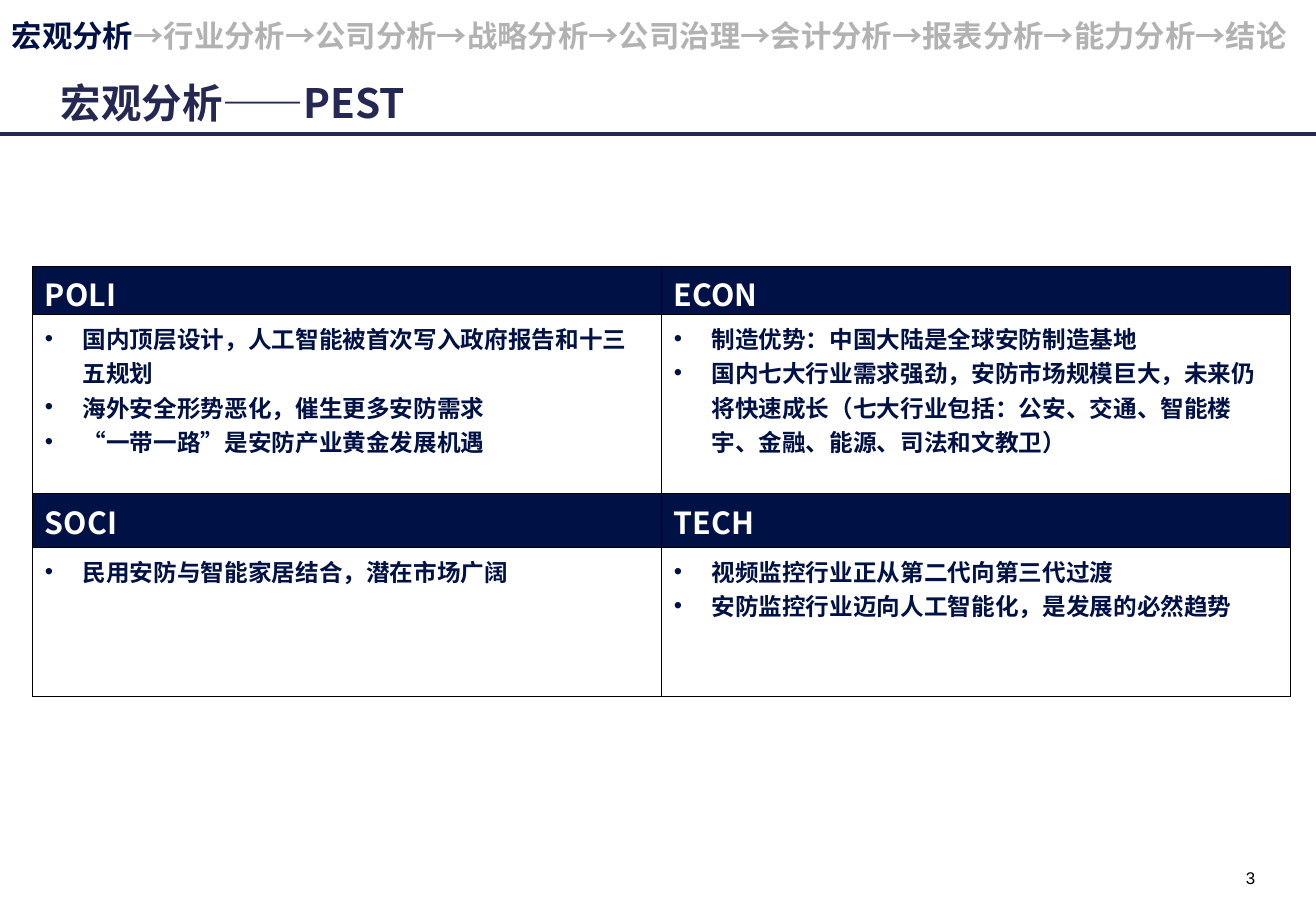
from lxml.etree import SubElement
from pptx import Presentation
from pptx.dml.color import RGBColor
from pptx.enum.shapes import MSO_CONNECTOR
from pptx.enum.text import MSO_ANCHOR, MSO_AUTO_SIZE, PP_ALIGN
from pptx.oxml.ns import qn
from pptx.util import Emu, Pt

# Content
STEPS = ["宏观分析", "行业分析", "公司分析", "战略分析", "公司治理",
         "会计分析", "报表分析", "能力分析", "结论"]
CURRENT_STEP = 0
TITLE = "宏观分析——PEST"
PAGE_NUMBER = "3"
PEST = [
    [("POLI", ["国内顶层设计，人工智能被首次写入政府报告和十三五规划",
               "海外安全形势恶化，催生更多安防需求",
               "“一带一路”是安防产业黄金发展机遇"]),
     ("ECON", ["制造优势：中国大陆是全球安防制造基地",
               "国内七大行业需求强劲，安防市场规模巨大，未来仍将快速成长"
               "（七大行业包括：公安、交通、智能楼宇、金融、能源、司法和文教卫）"])],
    [("SOCI", ["民用安防与智能家居结合，潜在市场广阔"]),
     ("TECH", ["视频监控行业正从第二代向第三代过渡",
               "安防监控行业迈向人工智能化，是发展的必然趋势"])],
]

# Theme
CJK, LATIN = "Noto Sans CJK SC", "Arial"
NAVY, GREY, BLACK = "001145", "B2B2B2", "000000"
THEME = {
    "title": dict(name=CJK, size=24, bold=True, color="242852"),
    "current": dict(name=CJK, size=18, bold=True, color=NAVY),
    "step": dict(name=CJK, size=18, bold=True, color=GREY),
    "arrow": dict(name=LATIN, size=18, bold=True, color=GREY),
    "heading": dict(name=CJK, size=18, bold=True, color="FFFFFF"),
    "point": dict(name=CJK, size=14, bold=True, color=NAVY),
    "page": dict(name=LATIN, size=10, bold=False, color=BLACK),
}

# Layout in px, 100 to the inch
SLIDE_W, SLIDE_H = 1084, 750
RULE_Y = 110
TABLE_X, TABLE_Y, COL_W = 27, 219, 518
ROW_HEIGHTS = [40, 147, 45, 122]
HEADING_LINE, CELL_PAD, POINT_RIGHT, BULLET_INDENT = 36, 5, 11, 31


def px(n):
    return Emu(n * 9144)


def set_attrs(obj, **values):
    for key, value in values.items():
        setattr(obj, key, value)


def add_run(p, text, style):
    fmt = dict(THEME[style])
    r = p.add_run()
    r.text = text
    r.font.color.rgb = RGBColor.from_string(fmt.pop("color"))
    fmt["size"] = Pt(fmt["size"])
    set_attrs(r.font, **fmt)
    SubElement(r.font._element, qn("a:ea")).set("typeface", CJK)


def add_bullet(p):
    pPr = p._p.get_or_add_pPr()
    pPr.set("marL", str(px(BULLET_INDENT)))
    pPr.set("indent", str(-px(BULLET_INDENT)))
    pPr.set("hangingPunct", "0")
    color = SubElement(pPr, qn("a:buClr"))
    SubElement(color, qn("a:srgbClr")).set("val", NAVY)
    SubElement(pPr, qn("a:buFont")).set("typeface", LATIN)
    SubElement(pPr, qn("a:buChar")).set("char", "•")


def add_borders(cell):
    tcPr = cell._tc.get_or_add_tcPr()
    for side in ("lnL", "lnR", "lnT", "lnB"):
        ln = SubElement(tcPr, qn(f"a:{side}"))
        ln.set("w", str(Pt(0.45)))
        fill = SubElement(ln, qn("a:solidFill"))
        SubElement(fill, qn("a:srgbClr")).set("val", BLACK)


def add_text_frame(s, box, **values):
    tf = s.shapes.add_textbox(*map(px, box)).text_frame
    set_attrs(tf, **values)
    return tf


def add_title(s):
    sp = s.shapes.title
    set_attrs(sp, left=px(50), top=px(18), width=px(983), height=px(91))
    tf = sp.text_frame
    set_attrs(tf, margin_left=0, margin_right=0, word_wrap=True,
              auto_size=MSO_AUTO_SIZE.NONE, vertical_anchor=MSO_ANCHOR.BOTTOM)
    p = tf.paragraphs[0]
    p.alignment = PP_ALIGN.LEFT
    add_run(p, TITLE, "title")


def add_rule(s):
    line = s.shapes.add_connector(MSO_CONNECTOR.STRAIGHT, px(SLIDE_W), px(RULE_Y),
                                  0, px(RULE_Y))
    line.line.width = Pt(2.25)
    line.line.color.rgb = RGBColor.from_string(THEME["title"]["color"])
    SubElement(line._element.spPr, qn("a:effectLst"))


def add_steps(s):
    p = add_text_frame(s, (0, 9, 1089, 70), word_wrap=True).paragraphs[0]
    for i, step in enumerate(STEPS):
        if i:
            add_run(p, "→", "arrow")
        add_run(p, step, "current" if i == CURRENT_STEP else "step")


def add_pest_table(s):
    table = s.shapes.add_table(
        len(ROW_HEIGHTS), 2, px(TABLE_X), px(TABLE_Y),
        px(2 * COL_W), px(sum(ROW_HEIGHTS))).table
    set_attrs(table, first_row=False, horz_banding=False)
    for col in table.columns:
        col.width = px(COL_W)
    for row, height in zip(table.rows, ROW_HEIGHTS):
        row.height = px(height)

    for i, pair in enumerate(PEST):
        for j, (heading, points) in enumerate(pair):
            # Heading cell: padding shrinks so the line fits the row
            cell = table.cell(2 * i, j)
            add_borders(cell)
            cell.fill.solid()
            cell.fill.fore_color.rgb = RGBColor.from_string(NAVY)
            pad = min(CELL_PAD, ROW_HEIGHTS[2 * i] - HEADING_LINE)
            set_attrs(cell, margin_top=px(pad), margin_bottom=0)
            add_run(cell.text_frame.paragraphs[0], heading, "heading")

            # Bulleted cell
            cell = table.cell(2 * i + 1, j)
            add_borders(cell)
            cell.fill.background()
            cell.margin_right = px(POINT_RIGHT)
            tf = cell.text_frame
            for k, point in enumerate(points):
                p = tf.add_paragraph() if k else tf.paragraphs[0]
                add_bullet(p)
                add_run(p, point, "point")


def add_page_number(s):
    tf = add_text_frame(s, (1013, 714, 21, 15), word_wrap=False, margin_left=0,
                        margin_right=0, margin_top=0, margin_bottom=0)
    p = tf.paragraphs[0]
    p.alignment = PP_ALIGN.RIGHT
    add_run(p, PAGE_NUMBER, "page")


def main():
    prs = Presentation()
    set_attrs(prs, slide_width=px(SLIDE_W), slide_height=px(SLIDE_H))
    s = prs.slides.add_slide(prs.slide_layouts[5])
    for add_part in (add_page_number, add_rule, add_title, add_steps, add_pest_table):
        add_part(s)
    prs.save("out.pptx")


if __name__ == "__main__":
    main()
